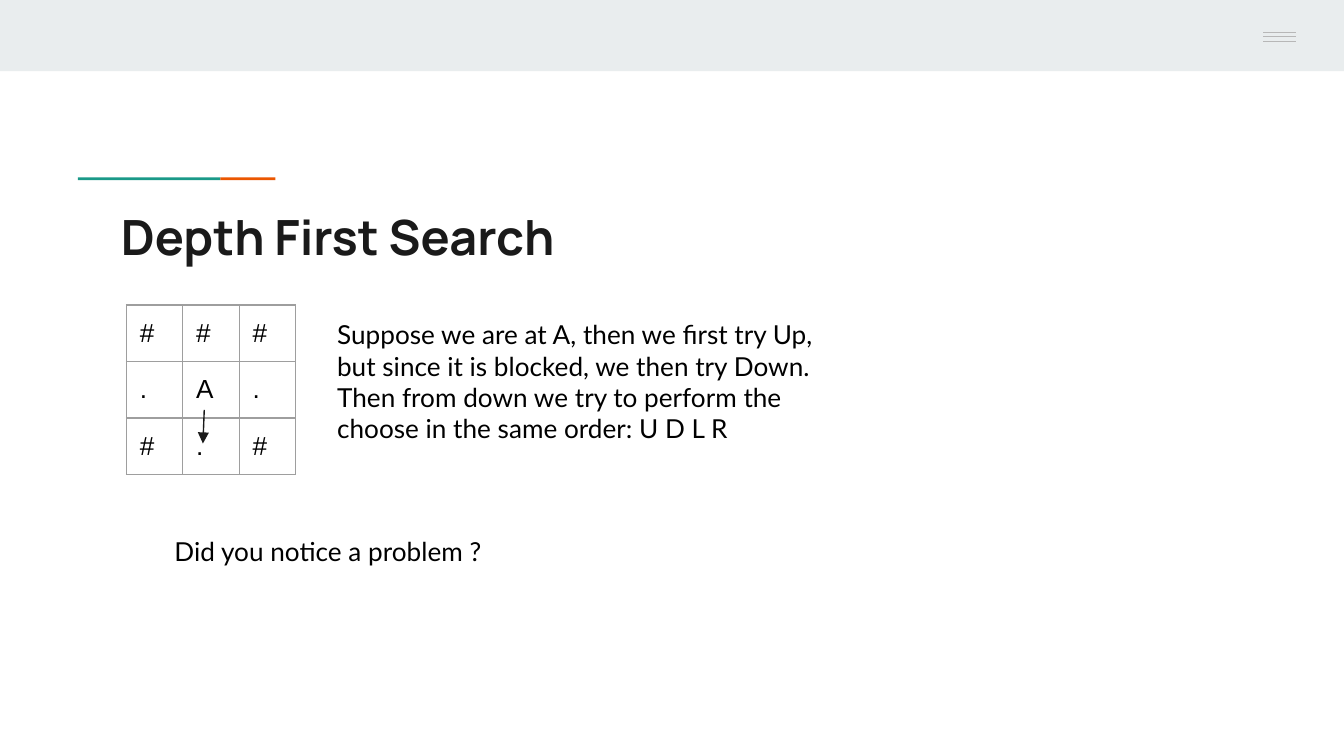
from pptx import Presentation
from pptx.dml.color import RGBColor
from pptx.enum.shapes import MSO_CONNECTOR, MSO_SHAPE
from pptx.enum.text import MSO_ANCHOR, PP_ALIGN
from pptx.oxml import parse_xml
from pptx.oxml.ns import nsdecls
from pptx.util import Inches, Pt

COLORS = {
    "band": "E9EDEE", "teal": "1A9988", "orange": "EB5600", "menu": "B7B7B7",
    "ink": "1A1A1A", "text": "000000", "grid": "9E9E9E",
}


class Page:
    """Holds the current slide and its style, and draws each kind of element."""

    def __init__(self, deck):
        self.slide = deck.slides.add_slide(deck.slide_layouts[5])
        self.shapes = self.slide.shapes

    def color(self, name):
        return RGBColor.from_string(COLORS[name])

    def style(self, frame, font, size, color, bold=False):
        for para in frame.paragraphs:
            para.alignment = PP_ALIGN.LEFT
            for run in para.runs:
                run.font.name = font
                run.font.size = Pt(size)
                run.font.bold = bold
                run.font.color.rgb = self.color(color)

    def pad(self, frame):
        frame.word_wrap = True
        frame.vertical_anchor = MSO_ANCHOR.TOP
        frame.margin_left = frame.margin_right = Inches(0.1)
        frame.margin_top = frame.margin_bottom = Inches(0.1)

    def rect(self, left, top, width, height, color):
        shape = self.shapes.add_shape(
            MSO_SHAPE.RECTANGLE, Inches(left), Inches(top), Inches(width), Inches(height))
        shape.shadow.inherit = False
        shape.fill.solid()
        shape.fill.fore_color.rgb = self.color(color)
        shape.line.fill.background()

    def line(self, start, end, color, arrow=False):
        line = self.shapes.add_connector(
            MSO_CONNECTOR.STRAIGHT, *map(Inches, start), *map(Inches, end))
        line.line.color.rgb = self.color(color)
        line.line.width = Pt(0.75)
        props = line._element.spPr
        if arrow:
            props.find("{*}ln").append(
                parse_xml(f'<a:tailEnd {nsdecls("a")} type="triangle"/>'))
        props.append(parse_xml(f'<a:effectLst {nsdecls("a")}/>'))

    def title(self, text, left, top, width, height):
        title = self.shapes.title
        title.left, title.top = Inches(left), Inches(top)
        title.width, title.height = Inches(width), Inches(height)
        title.text_frame.text = text
        self.pad(title.text_frame)
        self.style(title.text_frame, "Manrope", 26, "ink", True)

    def text(self, text, left, top, width, height):
        box = self.shapes.add_textbox(
            Inches(left), Inches(top), Inches(width), Inches(height))
        box.text_frame.text = text
        self.pad(box.text_frame)
        self.style(box.text_frame, "Lato", 14, "text")

    def border(self, cell):
        props = cell._tc.get_or_add_tcPr()
        for index, side in enumerate("LRTB"):
            props.insert(index, parse_xml(
                f'<a:ln{side} {nsdecls("a")} w="{Pt(0.75)}"><a:solidFill>'
                f'<a:srgbClr val="{COLORS["grid"]}"/></a:solidFill></a:ln{side}>'))

    def table(self, rows, left, top, side):
        count, width = len(rows), len(rows[0])
        table = self.shapes.add_table(
            count, width, Inches(left), Inches(top),
            Inches(side * width), Inches(side * count)).table
        table.first_row = table.horz_banding = False
        for col in table.columns:
            col.width = Inches(side)
        for row, marks in zip(table.rows, rows):
            row.height = Inches(side)
            for cell, mark in zip(row.cells, marks):
                cell.text_frame.text = mark
                cell.margin_left = cell.margin_right = Inches(0.1)
                cell.margin_top = cell.margin_bottom = Inches(0.1)
                cell.fill.background()
                self.border(cell)
                self.style(cell.text_frame, "Arial", 14, "text")


def main():
    deck = Presentation()
    deck.slide_width = Inches(10)
    deck.slide_height = deck.slide_width * 9 // 16
    page = Page(deck)
    page.rect(0, 0, 10, 0.53, "band")
    page.rect(0.58, 1.32, 1.06, 0.02, "teal")
    page.rect(1.64, 1.32, 0.41, 0.02, "orange")
    page.rect(9.06, 0, 0.94, 0.5, "band")
    for y in (0.24, 0.27, 0.31):
        page.line((9.4, y), (9.64, y), "menu")
    page.title("Depth First Search", 0.8, 1.44, 8.41, 0.59)
    page.table(["###", ".A.", "#.#"], 0.94, 2.27, 0.42)
    page.text(
        "Suppose we are at A, then we first try Up, but since it is blocked, "
        "we then try Down. Then from down we try to perform the choose in the "
        "same order: U D L R", 2.41, 2.27, 3.82, 1.29)
    page.line((1.52, 3.05), (1.51, 3.3), "ink", arrow=True)
    page.text("Did you notice a problem ?", 1.2, 3.88, 7.23, 0.98)
    deck.save("out.pptx")


if __name__ == "__main__":
    main()
